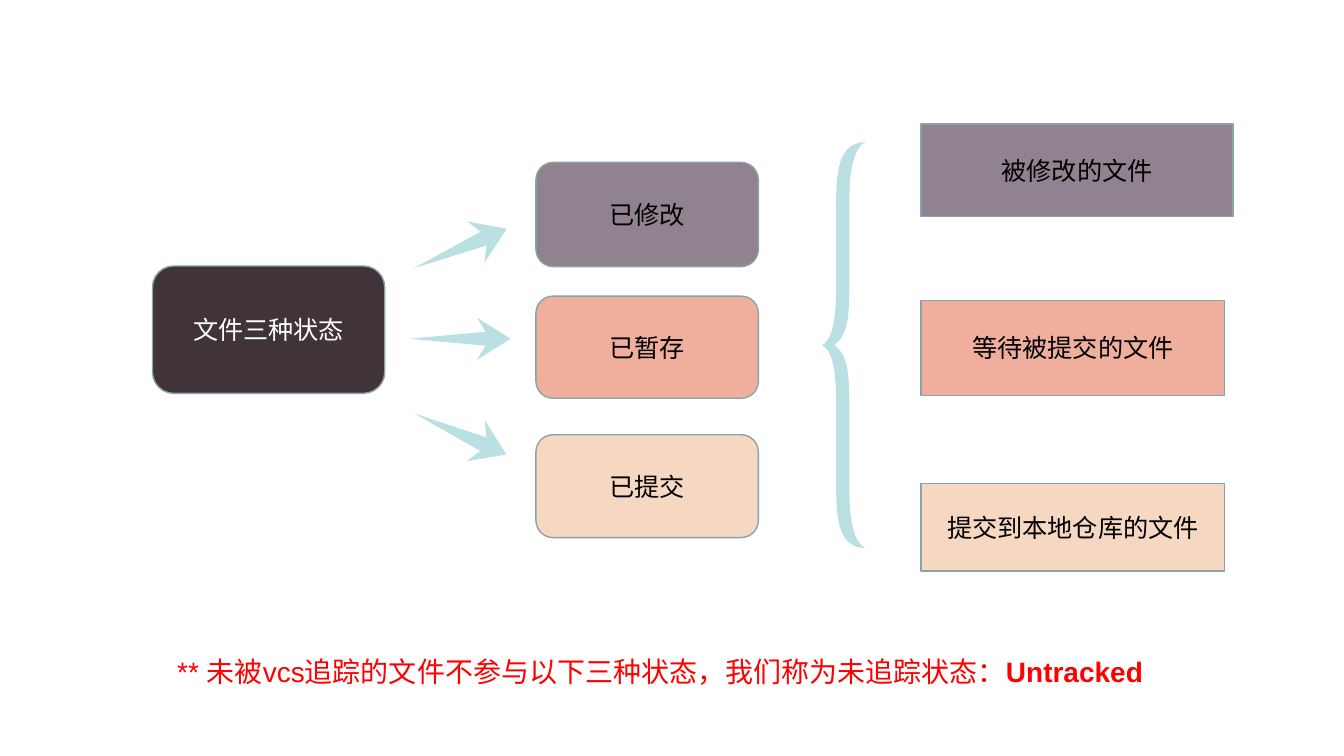
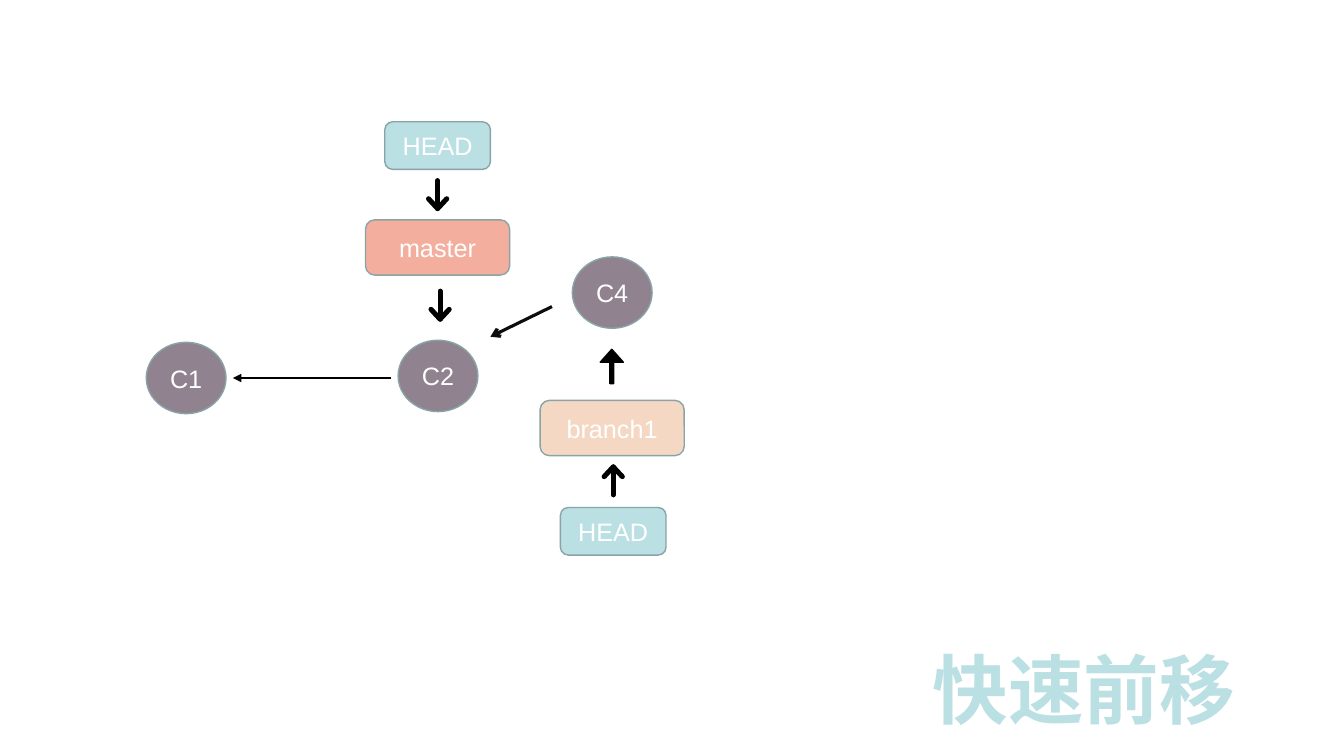
from dataclasses import dataclass

from lxml.etree import SubElement
from pptx import Presentation
from pptx.dml.color import RGBColor as RGB
from pptx.enum.shapes import MSO_CONNECTOR, MSO_SHAPE as Preset
from pptx.enum.text import MSO_ANCHOR, PP_ALIGN
from pptx.oxml.ns import qn
from pptx.util import Pt


@dataclass(frozen=True)
class Theme:
    font: str = "Arial"
    label_size: int = 18
    note_size: int = 20
    title_size: int = 54
    outline_width: float = 1
    stroke_width: float = 3.6
    white: RGB = RGB.from_string("FFFFFF")
    black: RGB = RGB.from_string("000000")
    near_black: RGB = RGB.from_string("0D0D0D")
    red: RGB = RGB.from_string("FF0000")
    plum: RGB = RGB.from_string("40333A")
    mauve: RGB = RGB.from_string("90828F")
    coral: RGB = RGB.from_string("F0AF9D")
    coral_bright: RGB = RGB.from_string("F3AE9E")
    peach: RGB = RGB.from_string("F5D7C2")
    peach_bright: RGB = RGB.from_string("F5D8C3")
    aqua: RGB = RGB.from_string("BBE0E3")
    outline: RGB = RGB.from_string("89A4A7")


THEME = Theme()


def style_font(paragraph, size, color, bold=None):
    font = paragraph.font
    font.name, font.size, font.bold = THEME.font, Pt(size), bold
    font.color.rgb = color


def add_preset(slide, preset, box, fill, outline=THEME.outline):
    shape = slide.shapes.add_shape(preset, *map(Pt, box))
    shape.shadow.inherit = False
    shape.fill.solid()
    shape.fill.fore_color.rgb = fill
    shape.line.color.rgb = outline
    shape.line.width = Pt(THEME.outline_width)
    return shape


def add_label(slide, preset, box, text, fill, color=THEME.white):
    frame = add_preset(slide, preset, box, fill).text_frame
    frame.word_wrap = True
    frame.vertical_anchor = MSO_ANCHOR.MIDDLE
    paragraph = frame.paragraphs[0]
    paragraph.text = text
    paragraph.alignment = PP_ALIGN.CENTER
    style_font(paragraph, THEME.label_size, color)


def add_text(slide, box, size, color, align, *runs, bold=None):
    """Each run is a (text, bold) pair; bold=None follows the paragraph."""
    frame = slide.shapes.add_textbox(*map(Pt, box)).text_frame
    frame.word_wrap = True
    paragraph = frame.paragraphs[0]
    paragraph.alignment = align
    style_font(paragraph, size, color, bold)
    for text, run_bold in runs:
        run = paragraph.add_run()
        run.text, run.font.bold = text, run_bold


def add_outline(slide, *contours, closed=True):
    """Freeform through contours of (x, y) points."""
    contours = [[(Pt(x), Pt(y)) for x, y in contour] for contour in contours]
    builder = slide.shapes.build_freeform(*contours[0][0], scale=1.0)
    for index, (start, *rest) in enumerate(contours):
        if index:
            builder.move_to(*start)
        builder.add_line_segments(rest, close=closed)
    shape = builder.convert_to_shape()
    shape.shadow.inherit = False
    return shape


def fill_plain(shape, color):
    shape.fill.solid()
    shape.fill.fore_color.rgb = color
    shape.line.fill.background()


def add_dart(slide, top, height, rotation):
    left, length, middle = 293, 72, top + height / 2
    wing, notch = left + 48, left + 54
    dart = add_outline(slide, [
        (left, middle), (notch, middle - height / 6), (wing, top),
        (left + length, middle),
        (wing, top + height), (notch, middle + height / 6)])
    fill_plain(dart, THEME.aqua)
    dart.rotation = rotation


def bezier(start, bend_a, bend_b, end, steps=16):
    def at(t):
        weights = ((1 - t) ** 3, 3 * t * (1 - t) ** 2, 3 * t * t * (1 - t), t ** 3)
        return tuple(sum(w * p[axis] for w, p in zip(weights, (start, bend_a, bend_b, end)))
                     for axis in (0, 1))
    return [at(step / steps) for step in range(steps + 1)]


def add_brace(slide, left, middle):
    """Draw the upper half around the tip, then mirror it downwards."""
    outer = (bezier((0, 0), (7, -4), (10, -16), (10, -40))
             + bezier((10, -99), (10, -131), (14, -144), (31, -145)))
    inner = (bezier((31, -145), (23, -141), (19.5, -126), (19.5, -103))
             + bezier((19.5, -45), (19.5, -17), (18, -7), (8.6, 0)))
    upper = outer + inner
    lower = [(x, -y) for x, y in reversed(upper)]
    brace = add_outline(slide, [(left + x, middle + y) for x, y in upper + lower])
    fill_plain(brace, THEME.aqua)


def add_round_arrow(slide, x, tail, direction):
    """Round-ended arrow; direction is 1 for down and -1 for up."""
    tip = tail + 20 * direction
    wing = tip - 7 * direction
    arrow = add_outline(slide, [(x, tail), (x, tip)],
                        [(x - 6.5, wing), (x, tip), (x + 6.5, wing)], closed=False)
    arrow.fill.background()
    arrow.line.color.rgb = THEME.black
    arrow.line.width = Pt(THEME.stroke_width)
    stroke = arrow.line._get_or_add_ln()
    stroke.set("cap", "rnd")
    SubElement(stroke, qn("a:round"))


def add_arrow_line(slide, start, end, color, width, head):
    link = slide.shapes.add_connector(MSO_CONNECTOR.STRAIGHT, *map(Pt, start + end))
    link.line.color.rgb = color
    link.line.width = Pt(width)
    SubElement(link.line._get_or_add_ln(), qn("a:tailEnd"), type=head)
    SubElement(link._element.spPr, qn("a:effectLst"))


def build_file_states(slide):
    add_label(slide, Preset.ROUNDED_RECTANGLE, (109, 190, 166, 91), "文件三种状态", THEME.plum)
    for top, height, rotation in ((161.5, 32, 337), (227, 30, 0), (294, 32, 24)):
        add_dart(slide, top, height, rotation)

    states = (("已修改", 116, 74.5), ("已暂存", 211.5, 73), ("已提交", 310.5, 73.5))
    meanings = (("被修改的文件", 88.5, 223, 66), ("等待被提交的文件", 214.5, 217, 68),
                ("提交到本地仓库的文件", 345.5, 217, 62.5))
    fills = (THEME.mauve, THEME.coral, THEME.peach)
    for (state, top, height), fill in zip(states, fills):
        add_label(slide, Preset.ROUNDED_RECTANGLE, (383, top, 159, height),
                  state, fill, THEME.black)
    add_brace(slide, 587.5, 246.5)
    for (meaning, top, width, height), fill in zip(meanings, fills):
        add_label(slide, Preset.RECTANGLE, (658.3, top, width, height),
                  meaning, fill, THEME.black)

    add_text(slide, (119.5, 464, 721, 31.5), THEME.note_size, THEME.red, PP_ALIGN.LEFT,
             ("** 未被vcs追踪的文件不参与以下三种状态，我们称为未追踪状态：", None),
             ("Untracked", True))


def build_fast_forward(slide):
    for commit, left, top in (("C1", 104.5, 244.5), ("C2", 284.5, 243), ("C4", 409, 183.5)):
        add_label(slide, Preset.OVAL, (left, top, 57, 51), commit, THEME.mauve)
    add_arrow_line(slide, (279.5, 270), (166.5, 270), THEME.black, 1.5, "triangle")
    add_arrow_line(slide, (394.5, 219), (350.5, 240.5), THEME.near_black, 2.25, "arrow")

    head_size, branch_size = (75.5, 34), (103, 39.5)
    for name, center, top, (width, height), fill in (
            ("HEAD", 312.75, 87, head_size, THEME.aqua),
            ("master", 312.75, 157, branch_size, THEME.coral_bright),
            ("branch1", 437.5, 286, branch_size, THEME.peach_bright),
            ("HEAD", 438.25, 362.5, head_size, THEME.aqua)):
        add_label(slide, Preset.ROUNDED_RECTANGLE,
                  (center - width / 2, top, width, height), name, fill)

    for x, tail, direction in ((312.75, 129, 1), (314.5, 208, 1), (438.25, 353.5, -1)):
        add_round_arrow(slide, x, tail, direction)
    branch_arrow = add_preset(slide, Preset.UP_ARROW, (429, 249.5, 16.5, 24.5),
                              THEME.black, THEME.black)
    branch_arrow.adjustments[0], branch_arrow.adjustments[1] = 0.17, 0.56

    add_text(slide, (591, 456, 367, 72), THEME.title_size, THEME.aqua, PP_ALIGN.CENTER,
             ("快速前移", None), bold=True)


def main():
    deck = Presentation()
    deck.slide_width, deck.slide_height = Pt(960.5), Pt(540)
    blank = deck.slide_layouts[6]
    for build in (build_file_states, build_fast_forward):
        build(deck.slides.add_slide(blank))
    deck.save("out.pptx")


if __name__ == "__main__":
    main()
